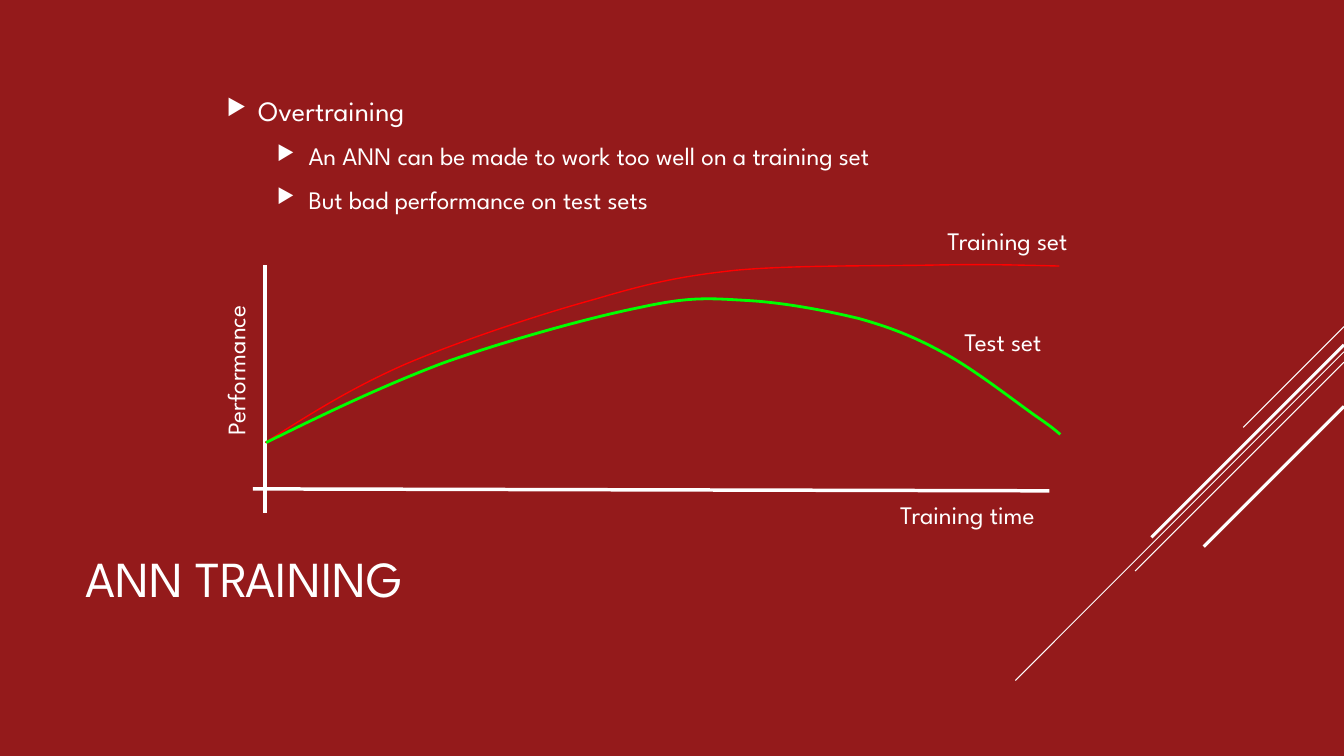
import pptx
import pptx.util
import pptx.dml.color
import pptx.enum.shapes
import pptx.enum.text
import pptx.oxml
import pptx.oxml.ns

Pt = pptx.util.Pt
FONT = "League Spartan"
WHITE = "FFFFFF"
TRAINING_CURVE = [
    (9.4, 158.1), (40.3, 138.6), (70.6, 119.2), (110.2, 101.9),
    (149, 85.4), (205.2, 66.6), (244.8, 55.8),
    (283.7, 44.3), (306, 39.3), (346.3, 35),
    (386.6, 31.4), (447.1, 32.1), (485.3, 31.4),
    (524.2, 30.6), (550.1, 31.4), (576.7, 32.1),
]
TEST_CURVE = [
    (10.1, 158.1), (51.1, 137.9), (92.9, 117.8), (136.8, 101.2),
    (181.4, 85.4), (241.2, 68.8), (277.2, 61.6),
    (313.2, 53.7), (326.9, 55.1), (352.8, 56.6),
    (379.4, 58), (409.7, 63.8), (433.4, 69.5),
    (456.5, 76), (473, 82.5), (493.9, 94),
    (515.5, 105.5), (545.8, 129.3), (560.2, 139.4),
    (573.8, 148.7), (574.6, 150.2), (577.4, 152.3),
]


def color(hex_value):
    return pptx.dml.color.RGBColor.from_string(hex_value)


def write(paragraph, text, size=18, fill=WHITE, before=0, after=0):
    paragraph.space_before = Pt(before)
    paragraph.space_after = Pt(after)
    run = paragraph.add_run()
    run.text = text
    run.font.name = FONT
    run.font.size = Pt(size)
    run.font.color.rgb = color(fill)


def add_frame(slide, box, middle=False, rotation=0):
    holder = slide.shapes.add_textbox(*map(Pt, box))
    holder.rotation = rotation
    frame = holder.text_frame
    frame.word_wrap = True
    anchors = pptx.enum.text.MSO_ANCHOR
    frame.vertical_anchor = anchors.MIDDLE if middle else anchors.TOP
    return frame


def add_line(slide, start, end, weight):
    line = slide.shapes.add_connector(
        pptx.enum.shapes.MSO_CONNECTOR.STRAIGHT, *map(Pt, (*start, *end)))
    line.line.color.rgb = color(WHITE)
    line.line.width = Pt(weight)
    line._element.spPr.append(pptx.oxml.parse_xml(
        f'<a:effectLst {pptx.oxml.ns.nsdecls("a")}/>'))


def add_bullet(paragraph, indent, hang=22.5):
    properties = paragraph._p.get_or_add_pPr()
    properties.set("marL", str(Pt(indent)))
    properties.set("indent", str(-Pt(hang)))
    ns = pptx.oxml.ns.nsdecls("a")
    for element in (
        f'<a:buClr {ns}><a:srgbClr val="{WHITE}"/></a:buClr>',
        f'<a:buSzPct {ns} val="80000"/>',
        f'<a:buFont {ns} typeface="OpenSymbol"/>',
        f'<a:buChar {ns} char="▶"/>',
    ):
        properties.append(pptx.oxml.parse_xml(element))


def bend_segments(curve):
    qn = pptx.oxml.ns.qn
    outline = next(curve._element.iter(qn("a:path")))
    segments = outline.findall(qn("a:lnTo"))
    for first in range(0, len(segments), 3):
        bend = outline.makeelement(qn("a:cubicBezTo"), {})
        for segment in segments[first:first + 3]:
            bend.append(segment[0])
            outline.remove(segment)
        outline.append(bend)


def add_curve(slide, left, top, knots, stroke, weight):
    points = [(Pt(left + x), Pt(top + y)) for x, y in knots]
    builder = slide.shapes.build_freeform(*points[0])
    builder.add_line_segments(points[1:], close=False)
    curve = builder.convert_to_shape()
    bend_segments(curve)
    curve.shadow.inherit = False
    curve.fill.background()
    curve.line.color.rgb = color(stroke)
    curve.line.width = Pt(weight)


def draw_diagonals(slide, box):
    left, top, width, height = box
    right = left + width
    for start, run, weight in ((0, 72, 0.75), (18, 234.7, 0.75),
                               (25.4, 149.2, 0.75), (13, 137.5, 2.25),
                               (57, 100.2, 2.25)):
        add_line(slide, (right, top + start),
                 (right - run, top + start + run), weight)


def draw_title(slide, box):
    frame = add_frame(slide, box, middle=True)
    write(frame.paragraphs[0], "ANN TRAINING", size=36)


def draw_points(slide, box):
    frame = add_frame(slide, box, middle=True)
    points = (
        ("Overtraining", 0, 20),
        ("An ANN can be made to work too well on a training set", 1, 18),
        ("But bad performance on test sets", 1, 18),
    )
    for index, (text, level, size) in enumerate(points):
        paragraph = frame.add_paragraph() if index else frame.paragraphs[0]
        paragraph.level = level
        write(paragraph, text, size=size, before=3.6 if index else 0, after=6)
        add_bullet(paragraph, 22.5 + 36 * level)


def draw_performance_plot(slide, box):
    left, top, width, height = box
    add_line(slide, (left + 9.4, top + 31.4), (left + 9.4, top + 208.5), 2.5)
    add_line(slide, (left + 0.7, top + 191.2), (left + 569.5, top + 192.6), 2.5)
    add_curve(slide, left, top, TRAINING_CURVE, "FF0000", 1)
    add_curve(slide, left, top, TEST_CURVE, "00FF00", 2)
    for text, x, y, label_width, rotation in (
        ("Training set", 489.6, -0.5, 111.6, 0),
        ("Test set", 501.8, 71.4, 111.6, 0),
        ("Performance", -77.8, 79.6, 131.8, 270),
        ("Training time", 455.8, 194.8, 149, 0),
    ):
        frame = add_frame(slide, (left + x, top + y, label_width, 28.8),
                          rotation=rotation)
        frame.auto_size = pptx.enum.text.MSO_AUTO_SIZE.SHAPE_TO_FIT_TEXT
        write(frame.paragraphs[0], text)


def main():
    deck = pptx.Presentation()
    deck.slide_width, deck.slide_height = Pt(960), Pt(540)
    slide = deck.slides.add_slide(deck.slide_layouts[6])
    slide.background.fill.solid()
    slide.background.fill.fore_color.rgb = color("941A1B")
    draw_diagonals(slide, (725.3, 233.3, 234.7, 252.7))
    draw_title(slide, (54, 353, 672, 119))
    draw_points(slide, (154.8, 10.8, 648, 198))
    draw_performance_plot(slide, (180, 158, 604, 224))
    deck.save("out.pptx")


if __name__ == "__main__":
    main()
